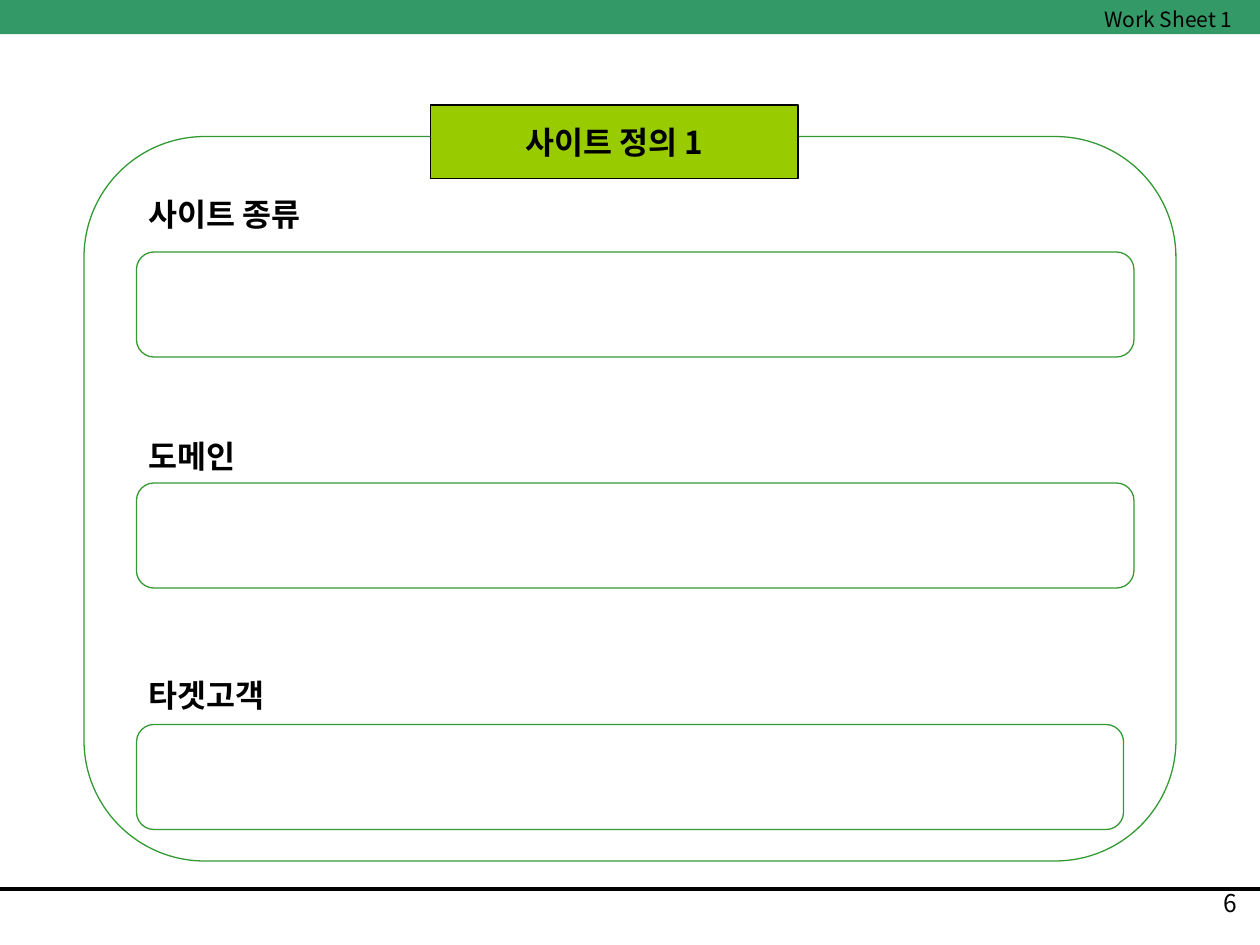
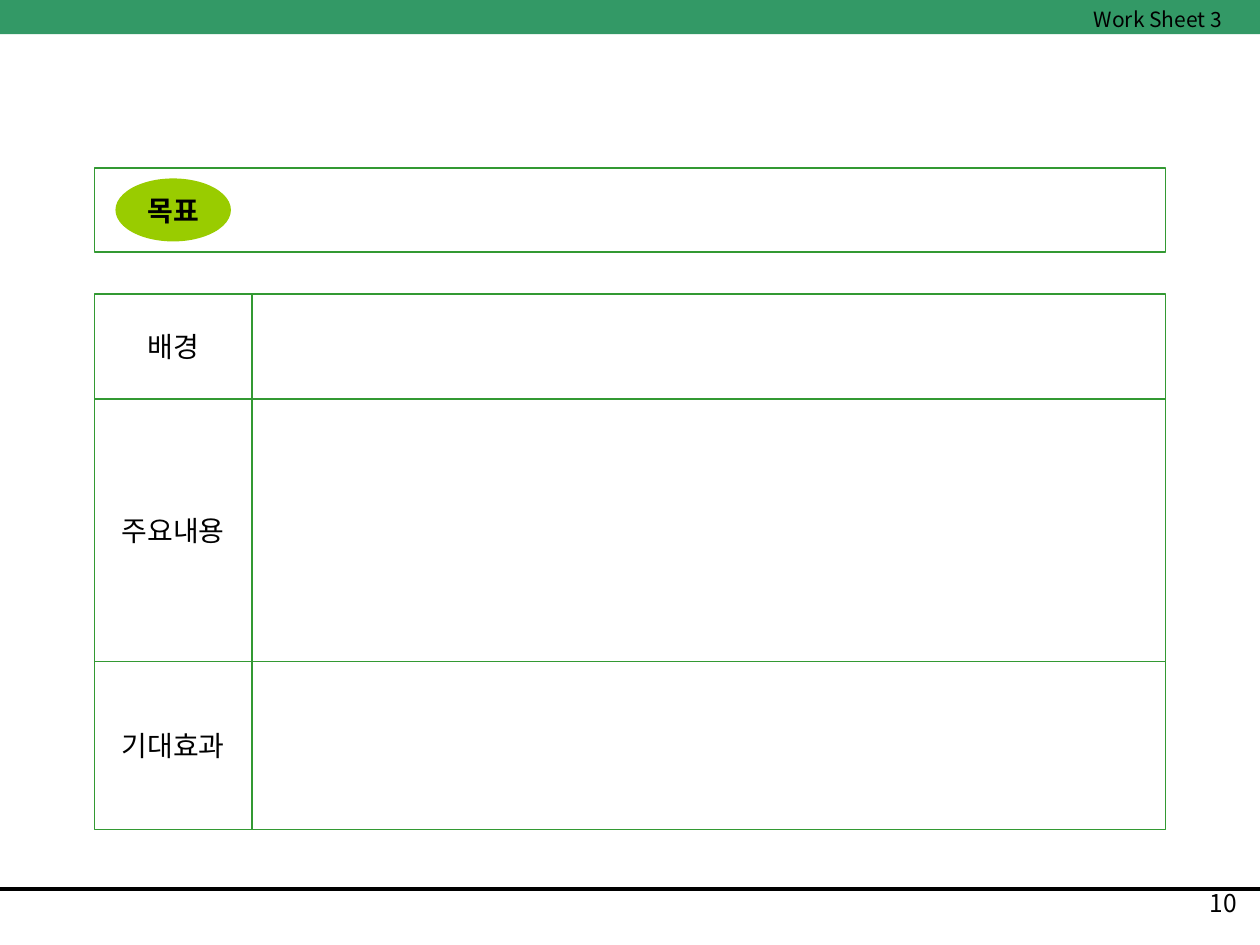
import pptx
import pptx.util
import pptx.dml.color
import pptx.enum.shapes
import pptx.enum.text
import pptx.oxml
import pptx.oxml.ns

SHAPE = pptx.enum.shapes.MSO_SHAPE
ALIGN = pptx.enum.text.PP_ALIGN
ANCHOR = pptx.enum.text.MSO_ANCHOR

# The slide is a grid of 120 columns by 90 rows, twelve to the inch
COLS, ROWS, PER_INCH = 120, 90, 12
BLACK, WHITE = "000000", "FFFFFF"
BAND, FRAME, ACCENT = "339966", "339933", "99CC00"
SANS, SERIF = "Noto Sans CJK KR", "Times New Roman"

# Text formats
HEADER = dict(name=SANS, size=12)
PAGE = dict(name=SANS, size=14)
HEADING = dict(name=SANS, size=18, bold=True)
CELL = dict(name=SERIF, size=16)
GOAL = dict(CELL, bold=True)


def grid(*units):
    return [pptx.util.Inches(u / PER_INCH) for u in units]


def color(value):
    return pptx.dml.color.RGBColor.from_string(value)


def write(s, text, fmt, align):
    """Put one formatted paragraph into a shape or text box."""
    p = s.text_frame.paragraphs[0]
    p.alignment = align
    r = p.add_run()
    r.text = text
    for key, value in fmt.items():
        setattr(r.font, key, pptx.util.Pt(value) if key == "size" else value)
    r.font.color.rgb = color(BLACK)
    ea = pptx.oxml.parse_xml(
        f'<a:ea {pptx.oxml.ns.nsdecls("a")} typeface="{SANS}"/>')
    r.font._element.find(pptx.oxml.ns.qn("a:latin")).addnext(ea)


def add_text(sp, at, text, fmt, align=ALIGN.LEFT):
    s = sp.add_textbox(*grid(*at))
    s.text_frame.word_wrap = True
    write(s, text, fmt, align)


def add_box(sp, kind, at, fill=None, line=None, text=None, fmt=None):
    s = sp.add_shape(kind, *grid(*at))
    s.shadow.inherit = False
    if fill:
        s.fill.solid()
        s.fill.fore_color.rgb = color(fill)
    else:
        s.fill.background()
    if line:
        s.line.color.rgb = color(line)
        s.line.width = pptx.util.Pt(0.75)
    else:
        s.line.fill.background()
    if text:
        s.text_frame.word_wrap = False
        s.text_frame.vertical_anchor = ANCHOR.MIDDLE
        write(s, text, fmt, ALIGN.CENTER)


def add_rule(sp, row):
    s = sp.add_connector(pptx.enum.shapes.MSO_CONNECTOR.STRAIGHT,
                         *grid(0, row, COLS, row))
    s.line.color.rgb = color(BLACK)
    s.line.width = pptx.util.Pt(2.25)
    s._element.spPr.append(pptx.oxml.parse_xml(
        f'<a:effectLst {pptx.oxml.ns.nsdecls("a")}/>'))


def add_sheet(prs, header, header_col, page):
    """New slide with the band, footer rule, header and page number."""
    sp = prs.slides.add_slide(prs.slide_layouts[6]).shapes
    add_rule(sp, 84.7)
    add_box(sp, SHAPE.RECTANGLE, (0, 0, COLS, 3.25), fill=BAND)
    add_text(sp, (94, 84, 25, 6), page, PAGE, ALIGN.RIGHT)
    add_text(sp, (header_col, 0, 17, 3.6), header, HEADER)
    return sp


def site_definition(prs):
    sp = add_sheet(prs, "Work Sheet 1", 104, "6")
    # Answer fields: label, label row, field row, field width
    fields = [("사이트 종류", 18, 24, 95),
              ("도메인", 41, 46, 95),
              ("타겟고객", 63.8, 69, 94)]
    for label, label_row, row, width in fields:
        add_box(sp, SHAPE.ROUNDED_RECTANGLE, (13, row, width, 10), line=FRAME)
        add_text(sp, (13, label_row, 60, 4.8), label, HEADING)
    # Outer frame with its title plate
    add_box(sp, SHAPE.ROUNDED_RECTANGLE, (8, 13, 104, 69), line=FRAME)
    add_box(sp, SHAPE.RECTANGLE, (41, 10, 35, 7), ACCENT, BLACK,
            "사이트 정의 1", HEADING)


def goal_sheet(prs):
    sp = add_sheet(prs, "Work Sheet 3", 103, "10")
    left, label_width, width = 9, 15, 102
    # Goal bar
    add_box(sp, SHAPE.RECTANGLE, (left, 16, width, 8), line=FRAME)
    add_box(sp, SHAPE.OVAL, (left + 2, 17, 11, 6), ACCENT, None, "목표", GOAL)
    # Stacked rows: label cell and answer cell
    row = 28
    for label, height in [("배경", 10), ("주요내용", 25), ("기대효과", 16)]:
        add_box(sp, SHAPE.RECTANGLE, (left, row, label_width, height),
                WHITE, FRAME, label, CELL)
        add_box(sp, SHAPE.RECTANGLE,
                (left + label_width, row, width - label_width, height),
                WHITE, FRAME)
        row += height


def main():
    prs = pptx.Presentation()
    prs.slide_width, prs.slide_height = grid(COLS, ROWS)
    site_definition(prs)
    goal_sheet(prs)
    prs.save("out.pptx")


if __name__ == "__main__":
    main()
